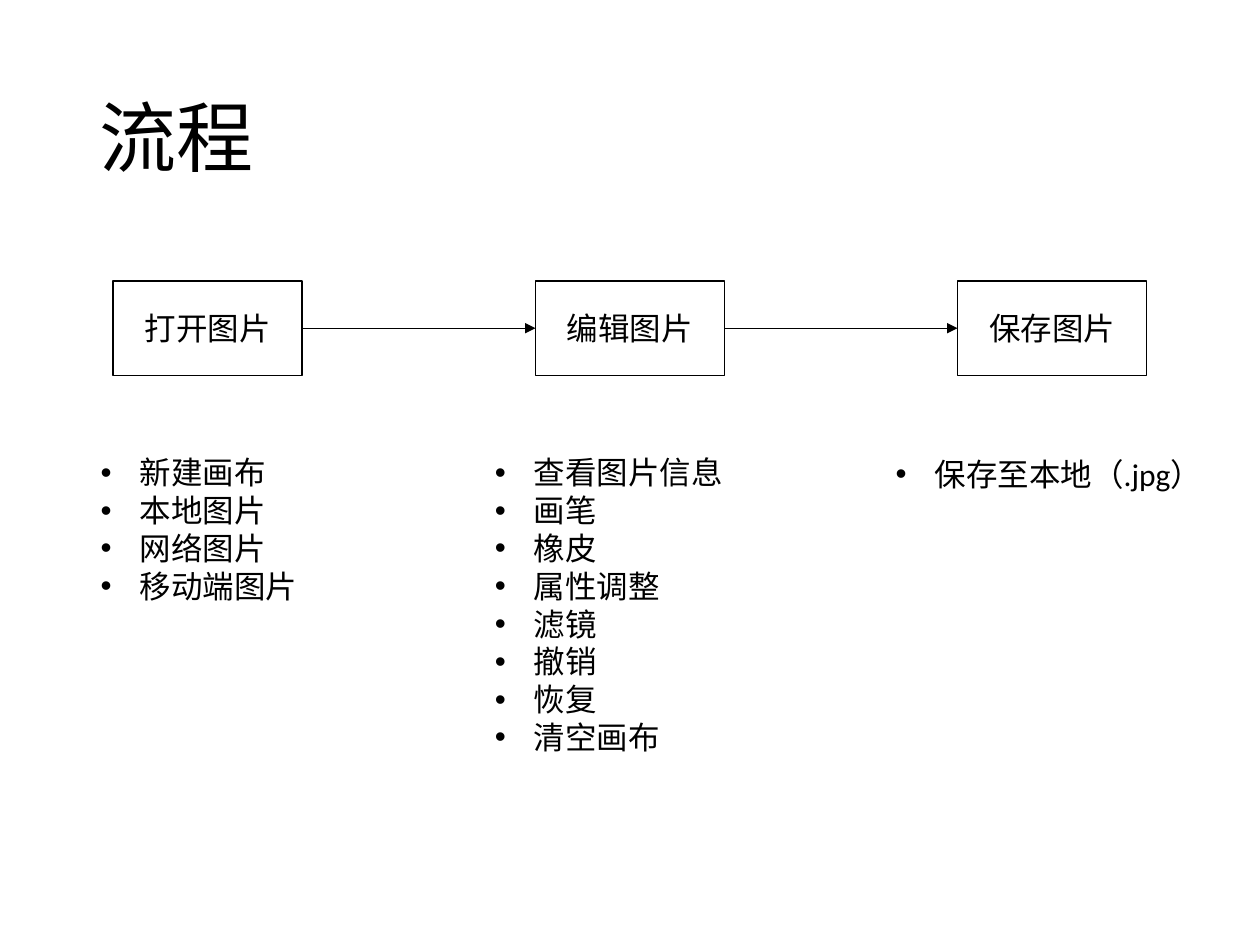
import lxml.etree
import pptx
import pptx.dml.color
import pptx.enum.shapes
import pptx.enum.text
import pptx.oxml.ns
import pptx.util
from pptx.util import Inches

# Content: step, left and top and width of its list, list items
TITLE = "流程"
STEPS = [
    ("打开图片", (0.7, 3.55, 1.94),
     ["新建画布", "本地图片", "网络图片", "移动端图片"]),
    ("编辑图片", (3.83, 3.55, 2.33),
     ["查看图片信息", "画笔", "橡皮", "属性调整",
      "滤镜", "撤销", "恢复", "清空画布"]),
    ("保存图片", (7.01, 3.56, 2.67), ["保存至本地（.jpg）"]),
]

SLIDE_W, SLIDE_H = 10, 7.5
STEP_W, STEP_H, STEP_TOP, STEP_PITCH = 1.5, 0.75, 2.23, 3.35
LINE_H, LIST_PADDING, LIST_INDENT = 0.3, 0.1, 0.31
FONT, BLACK, WHITE = "Calibri", "000000", "FFFFFF"


def color(value):
    return pptx.dml.color.RGBColor.from_string(value)


def format_text(frame, size, align):
    for paragraph in frame.paragraphs:
        paragraph.alignment = align
        for run in paragraph.runs:
            run.font.name = FONT
            run.font.size = pptx.util.Pt(size)
            run.font.color.rgb = color(BLACK)


def add_child(parent, tag, **attributes):
    lxml.etree.SubElement(parent, pptx.oxml.ns.qn(tag), attributes)


def add_step(slide, label, left):
    step = slide.shapes.add_shape(
        pptx.enum.shapes.MSO_SHAPE.FLOWCHART_PROCESS,
        Inches(left), Inches(STEP_TOP), Inches(STEP_W), Inches(STEP_H))
    step.shadow.inherit = False
    step.fill.solid()
    step.fill.fore_color.rgb = color(WHITE)
    step.line.color.rgb = color(BLACK)
    step.line.width = pptx.util.Pt(1)
    step.text_frame.text = label
    step.text_frame.vertical_anchor = pptx.enum.text.MSO_ANCHOR.MIDDLE
    format_text(step.text_frame, 18, pptx.enum.text.PP_ALIGN.CENTER)
    return step


def add_arrow(slide, source, target):
    arrow = slide.shapes.add_connector(
        pptx.enum.shapes.MSO_CONNECTOR.STRAIGHT, 0, 0, 0, 0)
    arrow.begin_connect(source, 3)
    arrow.end_connect(target, 1)
    arrow.line.color.rgb = color(BLACK)
    arrow.line.width = pptx.util.Pt(0.5)
    properties = arrow._element.spPr
    add_child(properties.find(pptx.oxml.ns.qn("a:ln")),
              "a:tailEnd", type="triangle")
    add_child(properties, "a:effectLst")


def add_list(slide, place, items):
    left, top, width = place
    height = LINE_H * len(items) + LIST_PADDING
    box = slide.shapes.add_textbox(
        Inches(left), Inches(top), Inches(width), Inches(height))
    frame = box.text_frame
    frame.word_wrap = True
    frame.auto_size = pptx.enum.text.MSO_AUTO_SIZE.SHAPE_TO_FIT_TEXT
    frame.text = "\n".join(items)
    format_text(frame, 18, pptx.enum.text.PP_ALIGN.LEFT)
    for paragraph in frame.paragraphs:
        properties = paragraph._p.get_or_add_pPr()
        properties.set("marL", str(Inches(LIST_INDENT)))
        properties.set("indent", str(-Inches(LIST_INDENT)))
        add_child(properties, "a:buFont", typeface="Arial")
        add_child(properties, "a:buChar", char="•")


def main():
    presentation = pptx.Presentation()
    presentation.slide_width = Inches(SLIDE_W)
    presentation.slide_height = Inches(SLIDE_H)
    slide = presentation.slides.add_slide(presentation.slide_layouts[5])

    # Title
    title = slide.shapes.title
    title.left, title.top = Inches(0.69), Inches(0.4)
    title.width, title.height = Inches(8.62), Inches(1.45)
    title.text_frame.text = TITLE
    title.text_frame.vertical_anchor = pptx.enum.text.MSO_ANCHOR.MIDDLE
    title.text_frame.paragraphs[0].line_spacing = 0.9
    format_text(title.text_frame, 44, pptx.enum.text.PP_ALIGN.LEFT)

    # Steps, evenly spaced about the slide's centre
    first_left = (SLIDE_W - STEP_W - STEP_PITCH * (len(STEPS) - 1)) / 2
    steps = [add_step(slide, label, first_left + i * STEP_PITCH)
             for i, (label, _, _) in enumerate(STEPS)]

    # Arrows between neighbouring steps
    for source, target in zip(steps, steps[1:]):
        add_arrow(slide, source, target)

    # Lists under the steps
    for _, place, items in STEPS:
        add_list(slide, place, items)

    presentation.save("out.pptx")


if __name__ == "__main__":
    main()
